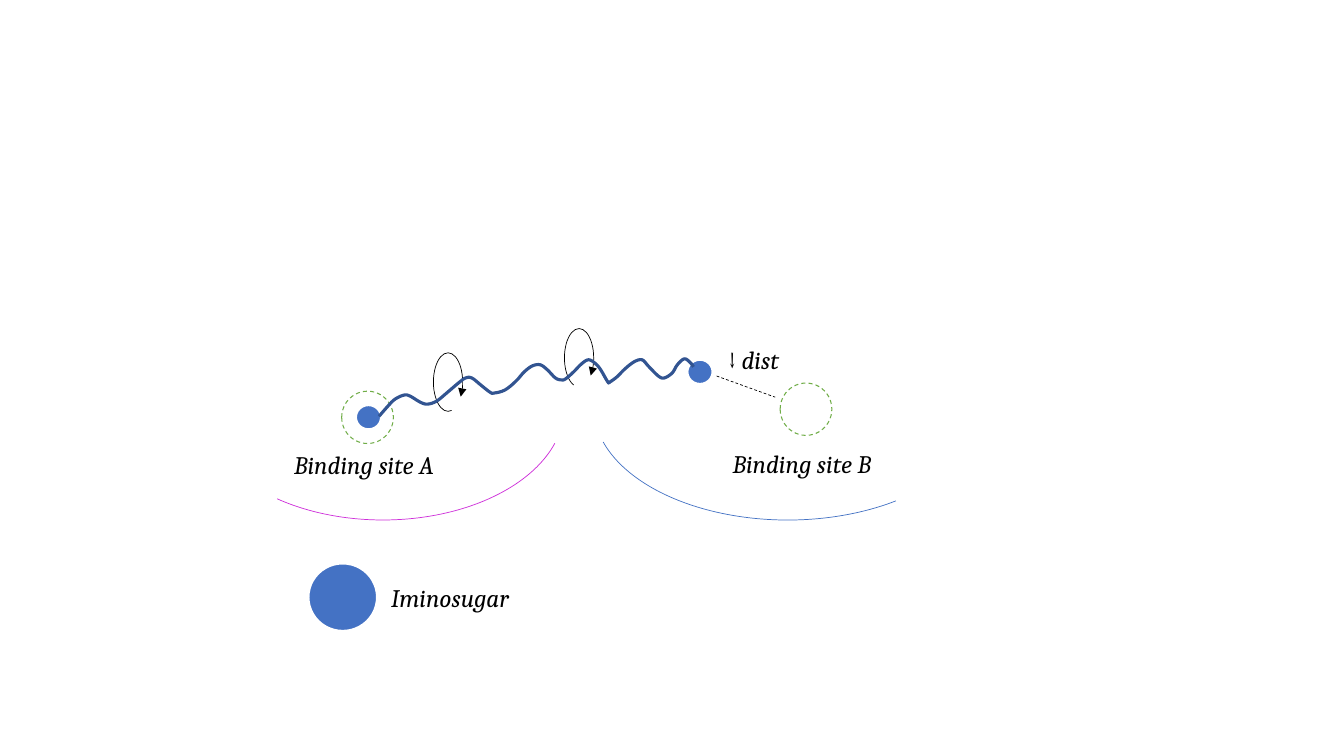
from lxml import etree
from pptx import Presentation
from pptx.dml.color import RGBColor
from pptx.enum.dml import MSO_LINE
from pptx.enum.shapes import MSO_CONNECTOR, MSO_SHAPE
from pptx.enum.text import MSO_AUTO_SIZE
from pptx.oxml.ns import qn
from pptx.util import Pt

ARC, OVAL = MSO_SHAPE.ARC, MSO_SHAPE.OVAL
STRAIGHT = MSO_CONNECTOR.STRAIGHT
DASH = MSO_LINE.DASH
GROW = MSO_AUTO_SIZE.SHAPE_TO_FIT_TEXT
COLORS = {
    "black": "000000", "white": "FFFFFF", "site": "70AD47",
    "protein_a": "CE2EDA", "protein_b": "4472C4",
    "sugar": "4472C4", "linker": "325491",
}

prs = Presentation()
prs.slide_width, prs.slide_height = Pt(960), Pt(540)
slide = prs.slides.add_slide(prs.slide_layouts[6])
shapes = slide.shapes


def style(shape, line, weight, fill=None, dash=None):
    shape.shadow.inherit = False
    if fill:
        shape.fill.solid()
        shape.fill.fore_color.rgb = RGBColor.from_string(COLORS[fill])
    else:
        shape.fill.background()
    shape.line.color.rgb = RGBColor.from_string(COLORS[line])
    shape.line.width = Pt(weight)
    if dash:
        shape.line.dash_style = dash


def add_text(text, left, top, width, prefix="", size=18, font="Cambria", color="black"):
    box = shapes.add_textbox(Pt(left), Pt(top), Pt(width), Pt(29))
    frame = box.text_frame
    frame.word_wrap = False
    frame.auto_size = GROW
    for content, italic in ((prefix, False), (text, True)):
        if content:
            run = frame.paragraphs[0].add_run()
            run.text = content
            run.font.size = Pt(size)
            run.font.name = font
            run.font.italic = italic
            run.font.color.rgb = RGBColor.from_string(COLORS[color])


arcs = [
    (309.6, 252, 20.9, 41.8, 130.86, 97.06, True, "black", True),
    (403.2, 234.7, 20.9, 41.8, 123.34, 78.71, True, "black", True),
    (144, 210.2, 259.2, 161.3, 11.89, 139.08, False, "protein_a", False),
    (424.1, 210.2, 277.2, 161.3, 10.68, 139.08, True, "protein_b", False),
]
for left, top, width, height, start, end, flipped, color, arrow in arcs:
    arc = shapes.add_shape(ARC, Pt(left), Pt(top), Pt(width), Pt(height))
    arc.adjustments[0], arc.adjustments[1] = start * 0.6, end * 0.6
    style(arc, color, 0.5)
    if flipped:
        arc._element.spPr.find(qn("a:xfrm")).set("flipH", "1")
    if arrow:
        outline = arc._element.spPr.find(qn("a:ln"))
        etree.SubElement(outline, qn("a:headEnd")).set("type", "triangle")

for left, top in ((244.1, 279.4), (557.3, 273.6)):
    site = shapes.add_shape(OVAL, Pt(left), Pt(top), Pt(36.9), Pt(37.4))
    style(site, "site", 0.75, dash=DASH)

for left, top, width, height in (
    (254.2, 289.4, 18, 17.3), (491, 257, 18, 17.3), (220.3, 402.5, 49, 48.2)
):
    sugar = shapes.add_shape(OVAL, Pt(left), Pt(top), Pt(width), Pt(height))
    style(sugar, "white", 1.5, fill="sugar")

distance = shapes.add_connector(STRAIGHT, Pt(511.9), Pt(268.6), Pt(553.7), Pt(283.7))
distance.line.color.rgb = RGBColor.from_string(COLORS["black"])
distance.line.width = Pt(0.5)
distance.line.dash_style = DASH
etree.SubElement(distance._element.spPr, qn("a:effectLst"))

add_text("dist", 513.4, 242.6, 54.7, prefix="\u2193 ")
add_text("Binding site A", 203, 317.5, 118.8)
add_text("Binding site B", 516.2, 316.8, 118.8)

knots = [
    (270.7, 297.4), (277.2, 290), (282.2, 285.1), (288.7, 282.2), (293, 283),
    (300.2, 287.3), (305.3, 288.7), (311.8, 286.6), (319, 280.8), (328.3, 272.9),
    (332.6, 270), (337, 270), (343.4, 275), (349.9, 280.1), (352.8, 280.8),
    (360.7, 278.6), (368.6, 272.2), (374.4, 265.7), (380.2, 261.4), (385.9, 260.6),
    (391, 264.2), (396.7, 270), (401, 271.4), (403.9, 270.7), (409.7, 265.7),
    (415.4, 259.9), (420.5, 257), (425.5, 259.9), (429.1, 264.2), (434.2, 272.9),
    (435.6, 272.9), (440.6, 269.3), (446.4, 263.5), (452.9, 258.5), (458.6, 257),
    (463, 261.4), (470.2, 268.6), (474.5, 270), (480.2, 266.4), (483.8, 260.6),
    (488.9, 256.3), (493.2, 259.2), (495.4, 262.1),
]
padded = [knots[0]] + knots + [knots[-1]]
curve = []
for stretch in zip(padded, padded[1:], padded[2:], padded[3:]):
    for t in (0.25, 0.5, 0.75, 1):
        curve.append([
            Pt((2 * b + (c - a) * t + (2 * a - 5 * b + 4 * c - d) * t ** 2
                + (3 * b - a - 3 * c + d) * t ** 3) / 2)
            for a, b, c, d in zip(*stretch)
        ])
builder = shapes.build_freeform(Pt(knots[0][0]), Pt(knots[0][1]))
builder.add_line_segments(curve, close=False)
linker = builder.convert_to_shape()
style(linker, "linker", 2.25)

add_text("Iminosugar", 272.2, 412.6, 101.5)

prs.save("out.pptx")
